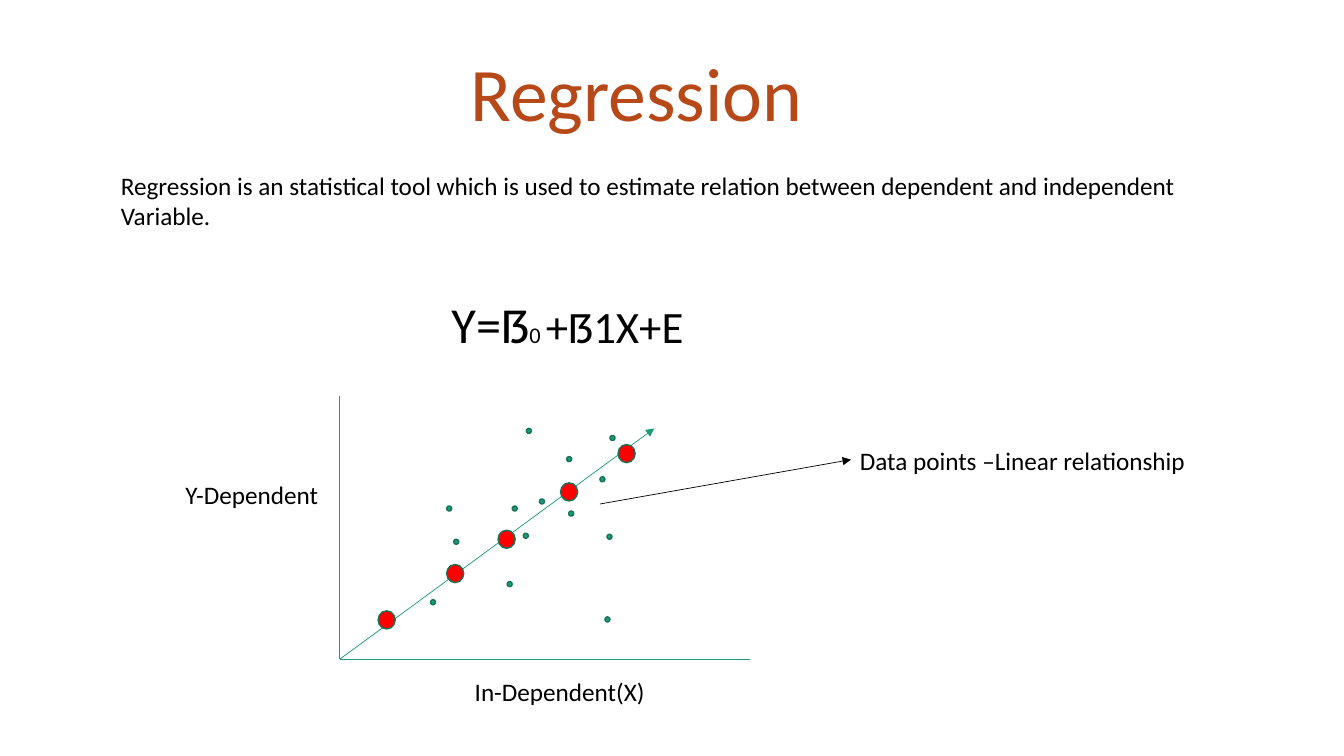
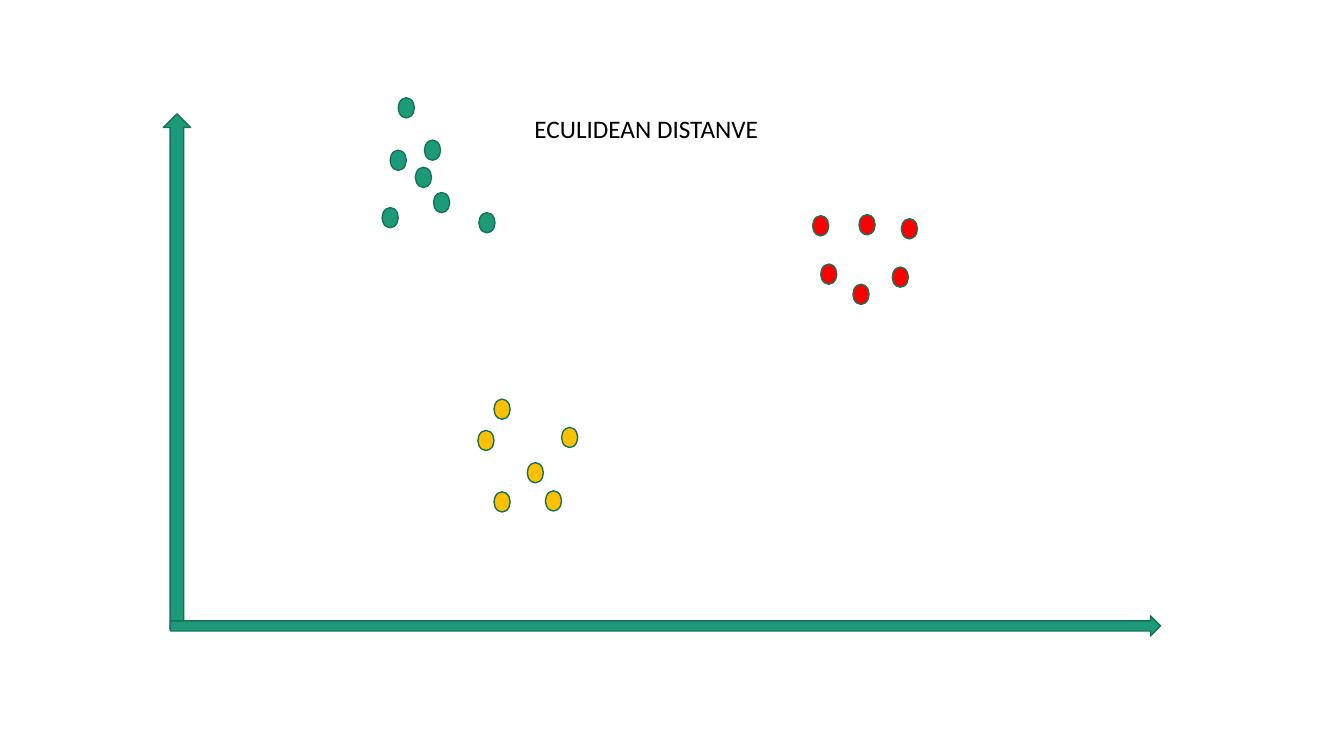
import pptx
import pptx.dml.color
import pptx.enum.shapes
import pptx.enum.text
import pptx.oxml.ns
import pptx.util
from lxml import etree

PX = 9144
FONT = "Calibri"
COLORS = {
    "title": "B74919",
    "text": "000000",
    "green": "1D9A78",
    "outline": "157259",
    "red": "FF0000",
    "amber": "FFC000",
}
SHAPES = pptx.enum.shapes.MSO_SHAPE
ALIGN = pptx.enum.text.PP_ALIGN

SCATTER = [
    (600, 612), (602, 530), (503, 577), (564, 507), (450, 535), (508, 502), (522, 425),
    (443, 502), (427, 595), (562, 453), (605, 432), (519, 529), (535, 495), (595, 473),
]
LINE_POINTS = [(443, 560), (494, 526), (556, 479), (613, 441), (375, 606)]
CLUSTERS = {
    "green": [(412, 166), (387, 149), (379, 206), (395, 97), (475, 211), (430, 191), (421, 139)],
    "amber": [(490, 396), (557, 424), (490, 488), (541, 487), (523, 459), (474, 427)],
    "red": [(852, 213), (814, 262), (885, 265), (846, 282), (894, 217), (806, 214)],
}


def px(*values):
    return [pptx.util.Emu(value * PX) for value in values]


def rgb(name):
    return pptx.dml.color.RGBColor.from_string(COLORS[name])


def style_run(r, size, color="text"):
    r.font.name = FONT
    r.font.size = pptx.util.Pt(size)
    r.font.color.rgb = rgb(color)


def prepare_frame(tf, wrap=False):
    tf.word_wrap = wrap
    tf.auto_size = pptx.enum.text.MSO_AUTO_SIZE.NONE
    tf.vertical_anchor = pptx.enum.text.MSO_ANCHOR.TOP


def set_title(slide, text, box, size, color="text"):
    sp = slide.shapes.title
    sp.left, sp.top, sp.width, sp.height = px(*box)
    tf = sp.text_frame
    tf.text = text
    prepare_frame(tf)
    p = tf.paragraphs[0]
    p.alignment = ALIGN.CENTER
    style_run(p.runs[0], size, color)


def add_text(slide, text, box, wrap=False):
    tf = slide.shapes.add_textbox(*px(*box)).text_frame
    prepare_frame(tf, wrap)
    tf.text = text
    for p in tf.paragraphs:
        p.alignment = ALIGN.LEFT
        style_run(p.runs[0], 18)


def add_equation(slide, parts, box):
    tf = slide.shapes.add_textbox(*px(*box)).text_frame
    prepare_frame(tf)
    p = tf.paragraphs[0]
    p.alignment = ALIGN.LEFT
    for text, size in parts:
        r = p.add_run()
        r.text = text
        style_run(r, size)


def add_line(slide, start, end, color, arrow=False):
    line = slide.shapes.add_connector(
        pptx.enum.shapes.MSO_CONNECTOR.STRAIGHT, *px(*start, *end))
    line.line.color.rgb = rgb(color)
    line.line.width = pptx.util.Pt(0.5)
    if arrow:
        ln = line.line._get_or_add_ln()
        etree.SubElement(ln, pptx.oxml.ns.qn("a:tailEnd"), type="triangle")
    etree.SubElement(line._element.spPr, pptx.oxml.ns.qn("a:effectLst"))


def add_shape(slide, kind, box, fill):
    sp = slide.shapes.add_shape(kind, *px(*box))
    sp.shadow.inherit = False
    sp.fill.solid()
    sp.fill.fore_color.rgb = rgb(fill)
    sp.line.color.rgb = rgb("outline")
    sp.line.width = pptx.util.Pt(1)


def add_dots(slide, points, size, fill):
    for point in points:
        add_shape(slide, SHAPES.OVAL, (*point, *size), fill)


def build_regression(slide):
    set_title(slide, "Regression", (455, 41, 353, 101), 54, "title")
    add_text(
        slide,
        "Regression is an statistical tool which is used to estimate relation "
        "between dependent and independent\nVariable.",
        (110, 164, 1079, 71), wrap=True)
    add_equation(slide, [("Y=ẞ", 36), ("0 ", 16), ("+ẞ1X+E", 32)], (438, 286, 250, 71))

    origin = (337, 654)
    add_line(slide, (337, 393), origin, "green")
    add_line(slide, origin, (744, 654), "green")
    add_line(slide, origin, (649, 425), "green", arrow=True)
    add_dots(slide, SCATTER, (5, 5), "green")
    add_dots(slide, LINE_POINTS, (17, 18), "red")

    add_text(slide, "In-Dependent(X)", (461, 666, 191, 40))
    add_text(slide, "Y-Dependent", (174, 471, 155, 40))
    add_line(slide, (595, 500), (844, 456), "text", arrow=True)
    add_text(slide, "Data points –Linear relationship", (843, 437, 347, 40))


def build_clusters(slide):
    set_title(slide, "ECULIDEAN DISTANVE", (519, 107, 244, 40), 18)
    add_shape(slide, SHAPES.UP_ARROW, (162, 113, 27, 511), "green")
    add_shape(slide, SHAPES.RIGHT_ARROW, (169, 611, 982, 20), "green")
    for color, points in CLUSTERS.items():
        add_dots(slide, points, (16, 20), color)


def main():
    prs = pptx.Presentation()
    prs.slide_width, prs.slide_height = px(1333, 750)
    for build in (build_regression, build_clusters):
        build(prs.slides.add_slide(prs.slide_layouts[5]))
    prs.save("out.pptx")


if __name__ == "__main__":
    main()
